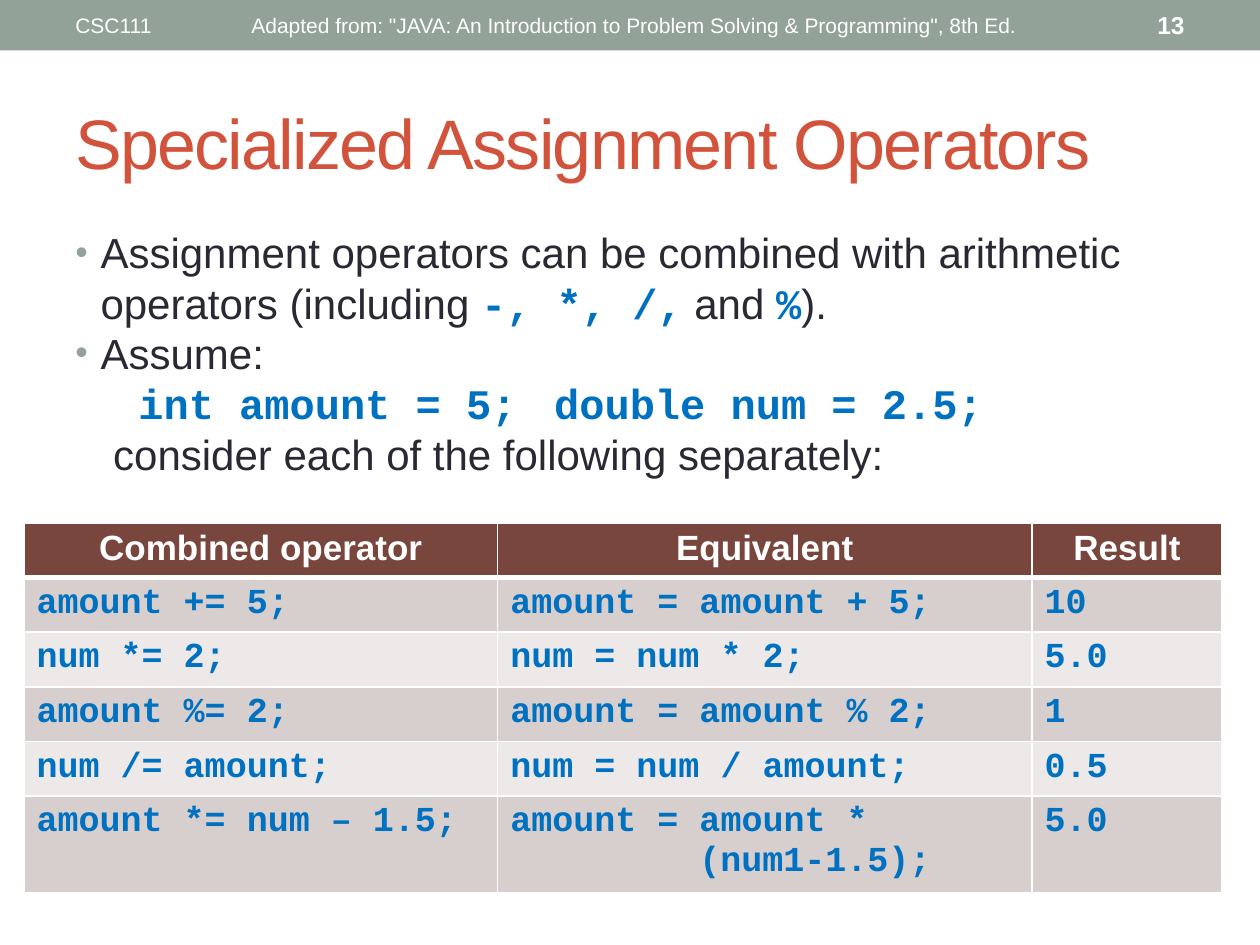
from lxml.etree import SubElement
from pptx import Presentation
from pptx.dml.color import RGBColor
from pptx.enum.shapes import MSO_SHAPE
from pptx.enum.text import MSO_ANCHOR, PP_ALIGN
from pptx.oxml import parse_xml
from pptx.oxml.ns import nsdecls, qn
from pptx.util import Inches, Pt

SAGE = RGBColor(0x93, 0xA2, 0x99)
RUST = RGBColor(0xD2, 0x53, 0x3C)
INK = RGBColor(0x29, 0x29, 0x34)
CODE_BLUE = RGBColor(0x00, 0x70, 0xC0)
WHITE = RGBColor(0xFF, 0xFF, 0xFF)
HEADER_BROWN = RGBColor(0x79, 0x46, 0x3D)
BANDS = (RGBColor(0xD7, 0xCF, 0xCE), RGBColor(0xEC, 0xE9, 0xE8))
SANS, MONO = "Arial", "Courier New"

COLUMN_WIDTHS = (3.76, 4.24, 1.51)
ROW_HEIGHT = 0.4
HEADINGS = ("Combined operator", "Equivalent", "Result")
OPERATIONS = (
    ("amount += 5;", "amount = amount + 5;", "10"),
    ("num *= 2;", "num = num * 2;", "5.0"),
    ("amount %= 2;", "amount = amount % 2;", "1"),
    ("num /= amount;", "num = num / amount;", "0.5"),
    ("amount *= num – 1.5;", "amount = amount *\n(num1-1.5);", "5.0"),
)


def style_font(font, size, color, name=SANS, bold=False):
    font.size, font.name, font.bold = Pt(size), name, bold
    font.color.rgb = color


def set_indent(paragraph, left, first=0):
    properties = paragraph._p.get_or_add_pPr()
    properties.set("marL", str(Inches(left)))
    properties.set("indent", str(Inches(first)))
    return properties


def add_bullet(paragraph):
    properties = set_indent(paragraph, 0.2, -0.2)
    color = SubElement(properties, qn("a:buClr"))
    SubElement(color, qn("a:srgbClr"), val=str(SAGE))
    SubElement(properties, qn("a:buSzPct"), val="85000")
    SubElement(properties, qn("a:buFont"), typeface=SANS)
    SubElement(properties, qn("a:buChar"), char="•")


def add_text_frame(slide, left, top, width, height, anchor=MSO_ANCHOR.MIDDLE):
    box = slide.shapes.add_textbox(Inches(left), Inches(top), Inches(width), Inches(height))
    frame = box.text_frame
    frame.word_wrap = True
    frame.vertical_anchor = anchor
    return frame


def add_line(slide, text, place, size, color, align=PP_ALIGN.LEFT, bold=False):
    """Add a one-paragraph text box and return its paragraph."""
    paragraph = add_text_frame(slide, *place).paragraphs[0]
    paragraph.text = text
    paragraph.alignment = align
    style_font(paragraph.font, size, color, bold=bold)
    return paragraph


def add_header_band(slide):
    band = slide.shapes.add_shape(MSO_SHAPE.RECTANGLE, 0, 0, Inches(10), Inches(0.4))
    band.shadow.inherit = False
    band.fill.solid()
    band.fill.fore_color.rgb = SAGE
    band.line.fill.background()
    add_line(slide, "CSC111", (0.5, 0.02, 3.17, 0.36), 12, WHITE)
    add_line(slide, 'Adapted from: "JAVA: An Introduction to Problem Solving & Programming", 8th Ed.',
             (1.82, 0.02, 6.43, 0.36), 12, WHITE, PP_ALIGN.CENTER)
    add_line(slide, "13", (8.33, 0.02, 1.17, 0.36), 14, WHITE, PP_ALIGN.RIGHT, bold=True)


def add_title(slide):
    title = add_line(slide, "Specialized Assignment Operators", (0.5, 0.58, 9, 1.08), 40, RUST)
    title.runs[0].font._element.set("spc", "-100")


def add_explanation(slide):
    """Write the body; every second run of a paragraph is code."""
    contents = (
        (True, ("Assignment operators can be combined with arithmetic operators (including ",
                "-, *, /,", " and ", "%", ").")),
        (True, ("Assume:",)),
        (False, ("", " int amount = 5;\tdouble num = 2.5;")),
        (False, ("consider each of the following separately:",)),
    )
    frame = add_text_frame(slide, 0.5, 1.75, 9, 2.27, MSO_ANCHOR.TOP)
    for index, (bulleted, pieces) in enumerate(contents):
        paragraph = frame.add_paragraph() if index else frame.paragraphs[0]
        if bulleted:
            add_bullet(paragraph)
        else:
            paragraph.level = 1
            set_indent(paragraph, 0.3)
        for position, piece in enumerate(pieces):
            if not piece:
                continue
            run = paragraph.add_run()
            run.text = piece
            if position % 2:
                style_font(run.font, 24, CODE_BLUE, MONO, bold=True)
            else:
                style_font(run.font, 24, INK)


def set_borders(cell, top=1, bottom=1):
    properties = cell._tc.get_or_add_tcPr()
    widths = (("L", 1), ("R", 1), ("T", top), ("B", bottom))
    for index, (side, width) in enumerate(widths):
        properties.insert(index, parse_xml(
            f'<a:ln{side} {nsdecls("a")} w="{Pt(width)}"><a:solidFill>'
            f'<a:srgbClr val="{WHITE}"/></a:solidFill></a:ln{side}>'))


def fill_cell(cell, text, row):
    is_header = row == 0
    cell.fill.solid()
    cell.fill.fore_color.rgb = HEADER_BROWN if is_header else BANDS[(row - 1) % 2]
    set_borders(cell, top=3 if row == 1 else 1, bottom=3 if is_header else 1)
    cell.text = text
    for index, paragraph in enumerate(cell.text_frame.paragraphs):
        if is_header:
            paragraph.alignment = PP_ALIGN.CENTER
            style_font(paragraph.font, 20, WHITE, bold=True)
        else:
            style_font(paragraph.font, 20, CODE_BLUE, MONO, bold=True)
        if index:
            set_indent(paragraph, 1.5)


def add_operator_table(slide):
    rows = (HEADINGS,) + OPERATIONS
    table = slide.shapes.add_table(
        len(rows), len(HEADINGS), Inches(0.19), Inches(4.15),
        Inches(sum(COLUMN_WIDTHS)), Inches(ROW_HEIGHT * len(rows))).table
    for column, width in zip(table.columns, COLUMN_WIDTHS):
        column.width = Inches(width)
    for row, texts in enumerate(rows):
        table.rows[row].height = Inches(ROW_HEIGHT)
        for column, text in enumerate(texts):
            fill_cell(table.cell(row, column), text, row)


def main():
    presentation = Presentation()
    presentation.slide_width, presentation.slide_height = Inches(10), Inches(7.5)
    slide = presentation.slides.add_slide(presentation.slide_layouts[6])
    add_header_band(slide)
    add_title(slide)
    add_explanation(slide)
    add_operator_table(slide)
    presentation.save("out.pptx")


if __name__ == "__main__":
    main()
